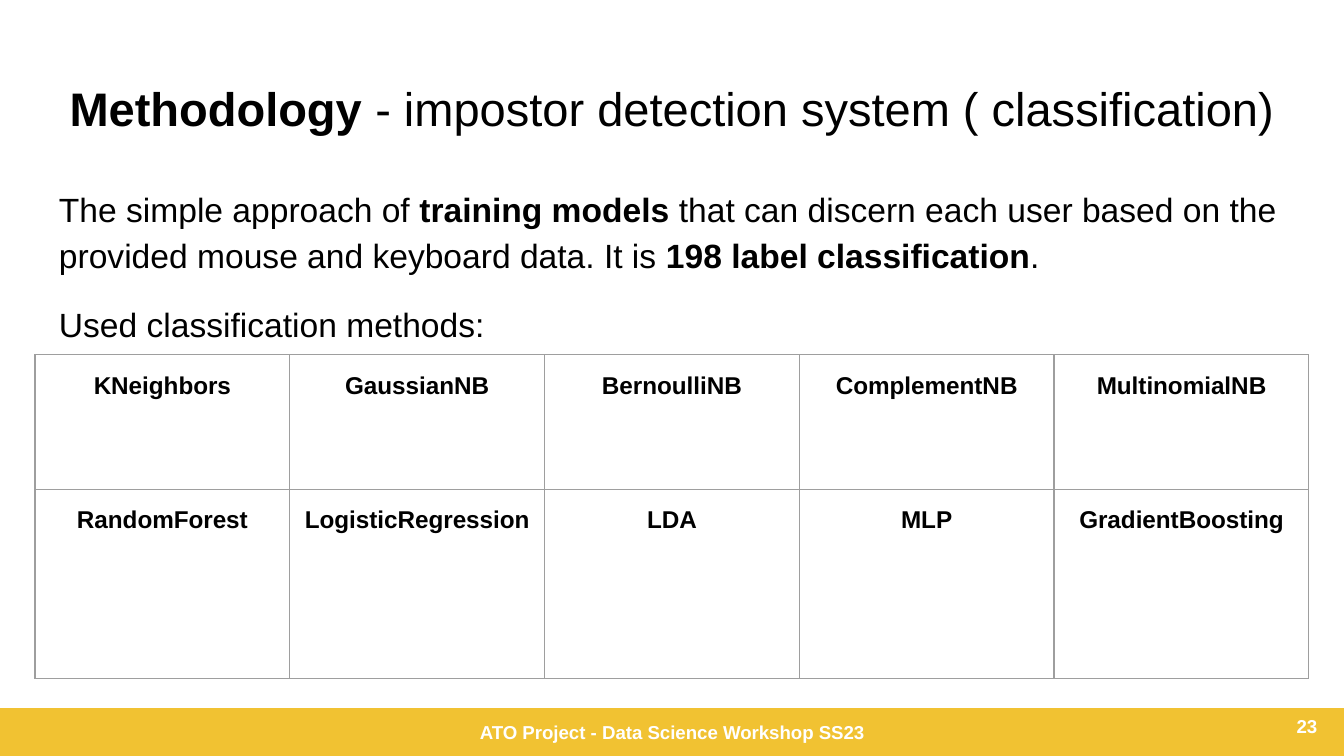
from lxml.etree import SubElement as Sub
from pptx import Presentation
from pptx.dml.color import RGBColor as Rgb
from pptx.enum.shapes import MSO_SHAPE as Shape
from pptx.enum.text import MSO_ANCHOR as Anchor, MSO_AUTO_SIZE as Auto, PP_ALIGN as Align
from pptx.oxml.ns import qn
from pptx.util import Inches, Pt

WIDE = 10
HIGH = WIDE * 9 / 16
EDGE = 0.34
BAR = 0.35
BLACK = Rgb(0x00, 0x00, 0x00)
WHITE = Rgb(0xFF, 0xFF, 0xFF)
GOLD = Rgb(0xF1, 0xC2, 0x32)
GRAY = Rgb(0x9E, 0x9E, 0x9E)

TITLE = [("Methodology ", True),
         ("- impostor detection system ( classification)", False)]
BODY = [
    [("The simple approach of ", False), ("training models", True),
     (" that can discern each user based on the provided mouse and keyboard data. It is ", False),
     ("198 label classification", True), (".", False)],
    [("Used classification methods:", False)],
]
METHODS = [
    ["KNeighbors", "GaussianNB", "BernoulliNB", "ComplementNB", "MultinomialNB"],
    ["RandomForest", "LogisticRegression", "LDA", "MLP", "GradientBoosting"],
]
SIDE = 0.26
ROWS = [1, 1.41]


def box(*sizes):
    return [Inches(size) for size in sizes]


def pad(area):
    """Give a text frame or table cell equal insets."""
    area.margin_left = area.margin_right = Inches(0.1)
    area.margin_top = area.margin_bottom = Inches(0.1)


def frame(text, anchor=Anchor.TOP):
    """Set the insets, wrapping and anchor of a text frame."""
    text.word_wrap = True
    text.auto_size = Auto.NONE
    text.vertical_anchor = anchor
    pad(text)


def write(para, runs, size, color=BLACK, align=Align.LEFT):
    """Fill a paragraph with (words, bold) runs."""
    para.alignment = align
    font = para.font
    font.name, font.size, font.color.rgb = "Arial", Pt(size), color
    for words, bold in runs:
        run = para.add_run()
        run.text, run.font.bold = words, bold


def add_title(slide):
    title = slide.shapes.title
    title.left, title.top, title.width, title.height = box(EDGE, 0.49, WIDE - 2 * EDGE, 0.63)
    frame(title.text_frame)
    write(title.text_frame.paragraphs[0], TITLE, 25.2, align=Align.CENTER)


def add_body(slide):
    text = slide.shapes.add_textbox(*box(EDGE, 1.26, WIDE - 2 * EDGE, 3.74)).text_frame
    frame(text)
    for i, runs in enumerate(BODY):
        para = text.add_paragraph() if i else text.paragraphs[0]
        para.line_spacing = 1.15
        para.space_before = Pt(12 * i)
        write(para, runs, 18)


def add_bar(slide):
    bar = slide.shapes.add_shape(Shape.RECTANGLE, *box(0, HIGH - BAR, WIDE, BAR))
    bar.shadow.inherit = False
    bar.fill.solid()
    bar.fill.fore_color.rgb = bar.line.color.rgb = GOLD
    bar.line.width = Pt(0.75)
    frame(bar.text_frame, Anchor.MIDDLE)
    write(bar.text_frame.paragraphs[0],
          [("ATO Project - Data Science Workshop SS23", True)], 10, WHITE, Align.CENTER)


def add_number(slide):
    text = slide.shapes.add_textbox(*box(9.3, 5.19, 0.6, 0.43)).text_frame
    frame(text, Anchor.MIDDLE)
    write(text.paragraphs[0], [("23", True)], 10, WHITE, Align.RIGHT)


def outline(cell):
    props = cell._tc.get_or_add_tcPr()
    for side in ("a:lnL", "a:lnR", "a:lnT", "a:lnB"):
        line = Sub(props, qn(side), w=str(Pt(0.75)))
        Sub(Sub(line, qn("a:solidFill")), qn("a:srgbClr"), val=str(GRAY))


def add_grid(slide):
    cols = len(METHODS[0])
    wide = WIDE - 2 * SIDE
    grid = slide.shapes.add_table(
        len(ROWS), cols, *box(SIDE, 2.64, wide, sum(ROWS))).table
    grid.first_row = grid.horz_banding = False
    for r, names in enumerate(METHODS):
        grid.rows[r].height = Inches(ROWS[r])
        for c, name in enumerate(names):
            cell = grid.cell(r, c)
            pad(cell)
            outline(cell)
            cell.fill.background()
            para = cell.text_frame.paragraphs[0]
            para.line_spacing = 1.15
            para.space_after = Pt(12)
            write(para, [(name, True)], 13, align=Align.CENTER)


def main():
    deck = Presentation()
    deck.slide_width, deck.slide_height = box(WIDE, HIGH)
    slide = deck.slides.add_slide(deck.slide_layouts[5])
    add_bar(slide)
    add_title(slide)
    add_body(slide)
    add_number(slide)
    add_grid(slide)
    deck.save("out.pptx")


if __name__ == "__main__":
    main()
